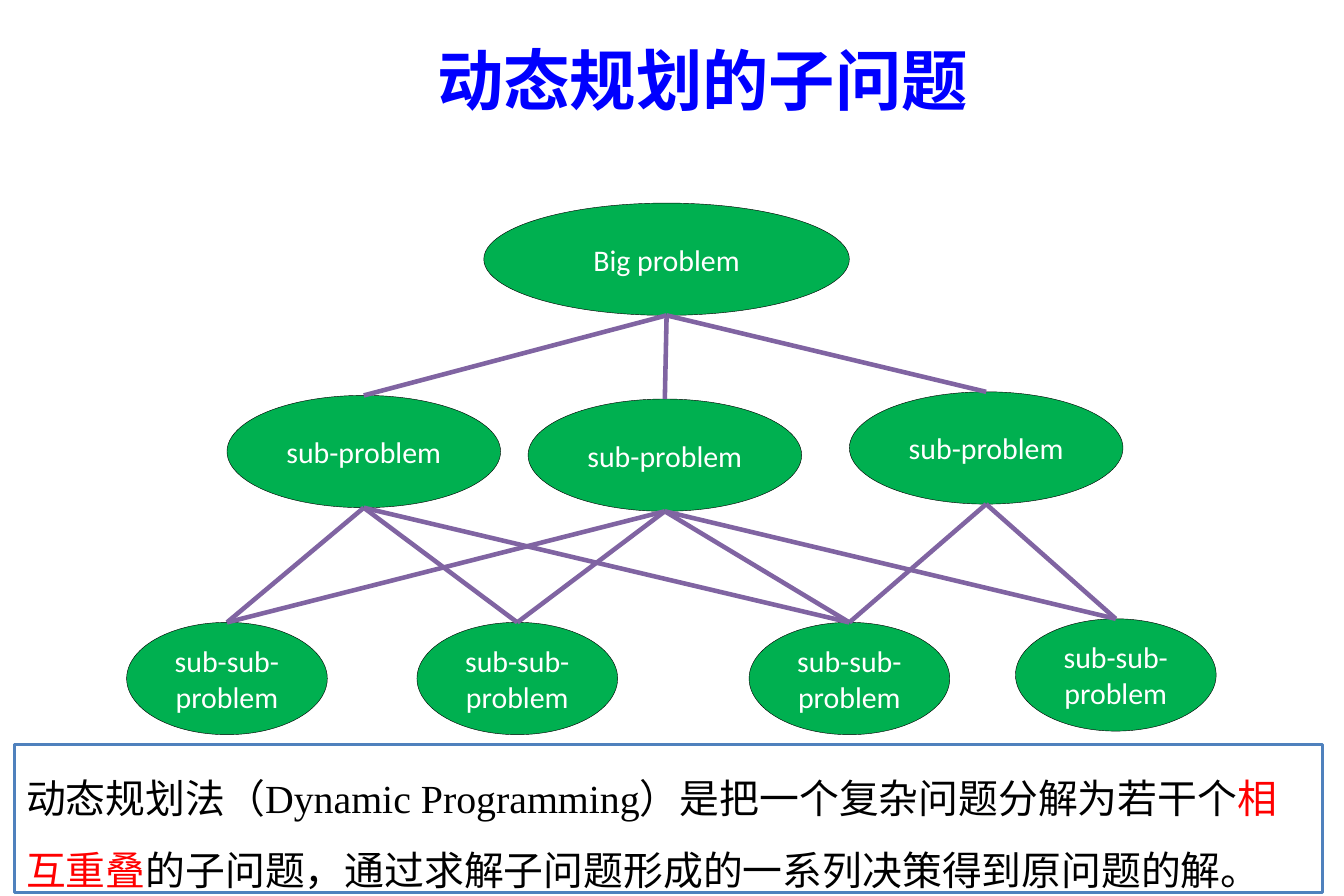
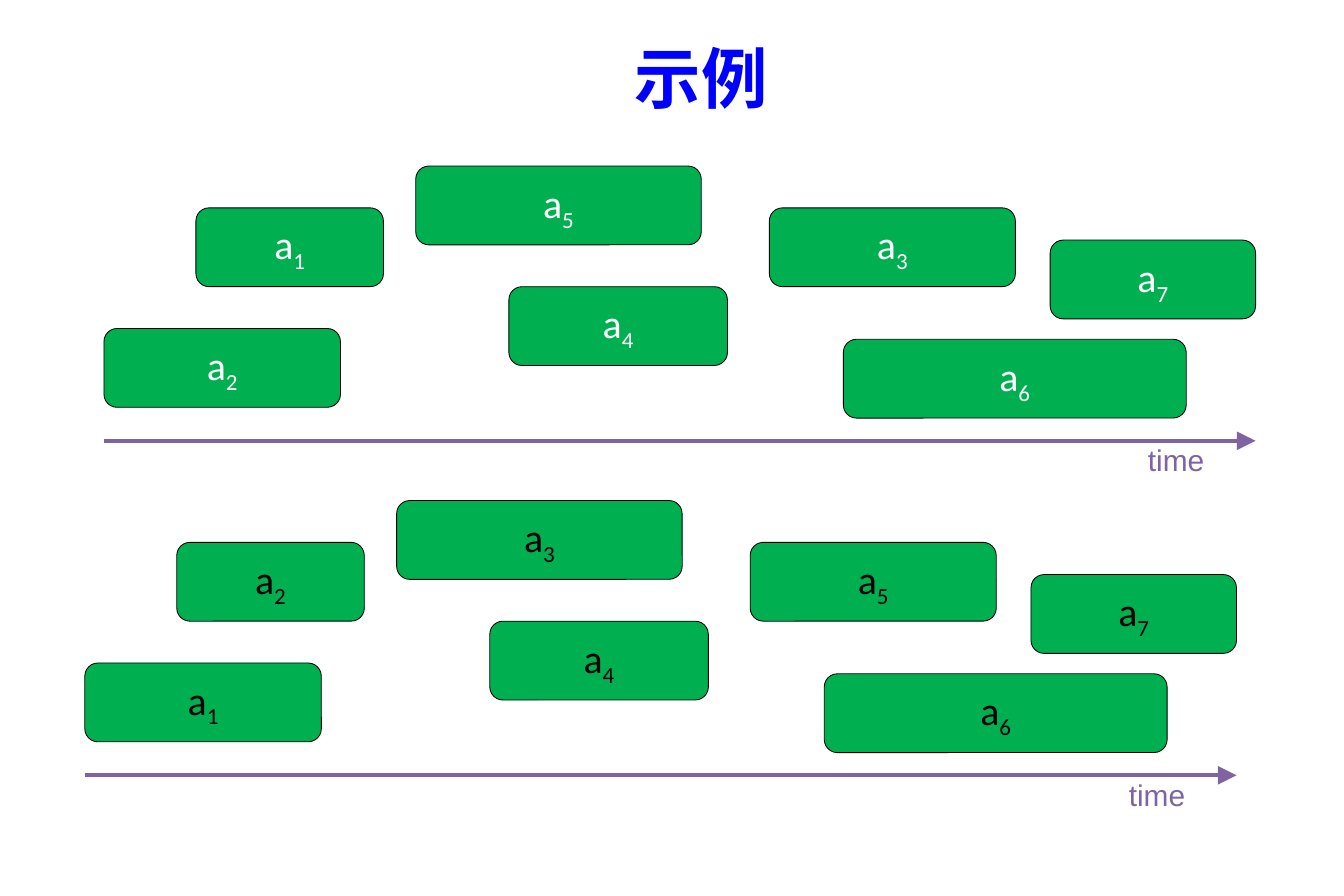
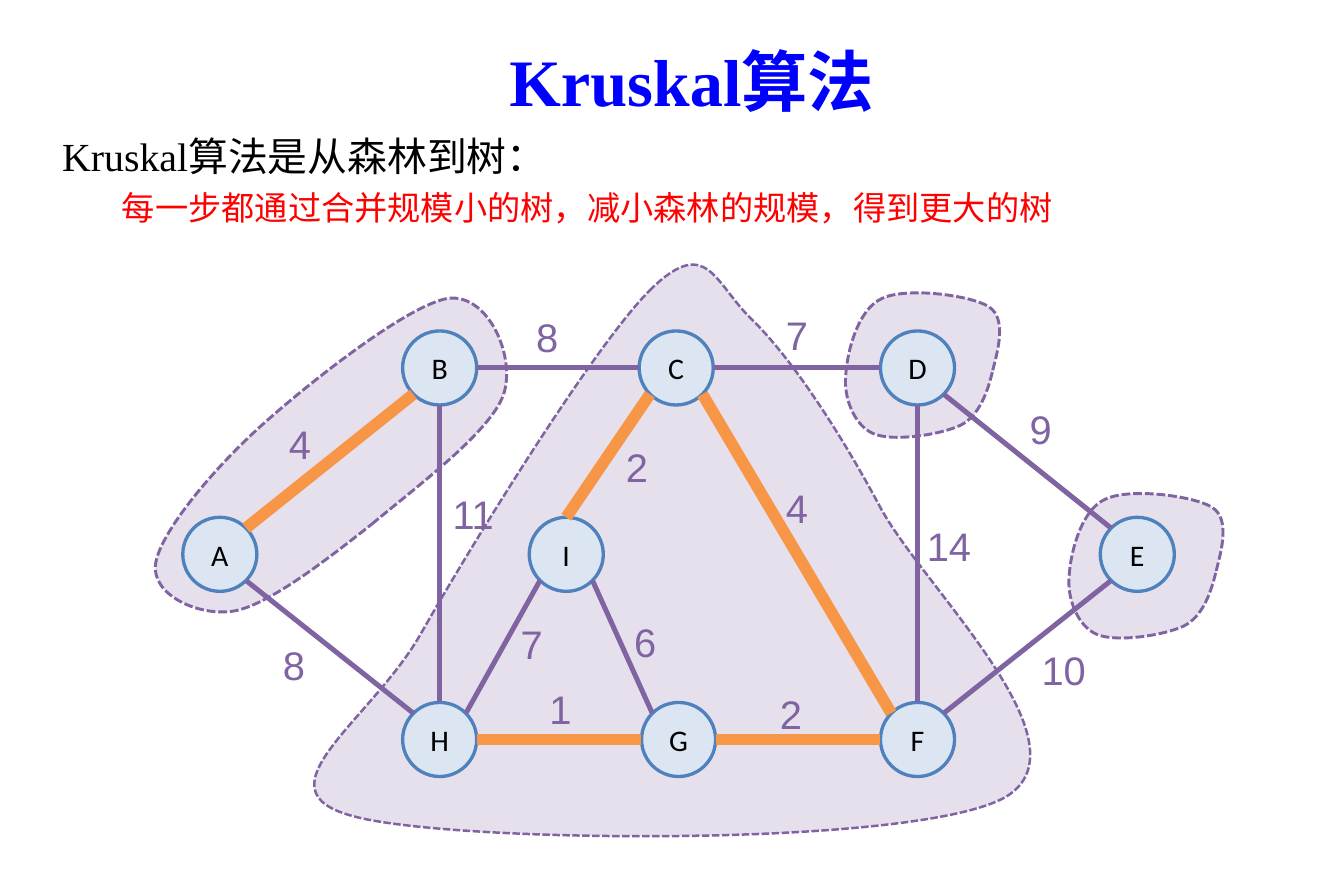
from dataclasses import dataclass
from math import cos, radians, sin
from typing import Optional

from lxml import etree
from pptx import Presentation
from pptx.dml.color import RGBColor
from pptx.enum.dml import MSO_LINE
from pptx.enum.shapes import MSO_CONNECTOR, MSO_SHAPE
from pptx.enum.text import MSO_ANCHOR, MSO_AUTO_SIZE, PP_ALIGN
from pptx.oxml.ns import qn
from pptx.util import Inches, Pt

ELLIPSE = MSO_SHAPE.OVAL
ROUNDED = MSO_SHAPE.ROUNDED_RECTANGLE
RECTANGLE = MSO_SHAPE.RECTANGLE
STRAIGHT = MSO_CONNECTOR.STRAIGHT
DASHED = MSO_LINE.SQUARE_DOT
TOP, MIDDLE = MSO_ANCHOR.TOP, MSO_ANCHOR.MIDDLE
LEFT, CENTER = PP_ALIGN.LEFT, PP_ALIGN.CENTER
NO_RESIZE = MSO_AUTO_SIZE.NONE

BLUE, RED, BLACK, WHITE = "0000FF", "FF0000", "000000", "FFFFFF"
GREEN, PURPLE, LILAC = "00B050", "8064A2", "E6E0EC"
ORANGE, STEEL, PALE = "F79646", "4F81BD", "DCE6F2"
CHINESE, SERIF, SANS, LABEL = "Noto Sans CJK SC", "Times New Roman", "Arial", "Calibri"
EAST_ASIAN = {SERIF: SANS}

CONTENT_LAYOUT, TITLE_LAYOUT = 1, 5
CURVE_STEPS = 12
DIAMETER = 0.62
SIDES = {
    "N": (0, -1), "S": (0, 1), "E": (1, 0), "W": (-1, 0),
    "NE": (0.71, -0.71), "NW": (-0.71, -0.71),
    "SE": (0.71, 0.71), "SW": (-0.71, 0.71),
}

Point = tuple[float, float]


@dataclass(frozen=True)
class Problem:
    text: str
    left: float
    top: float
    width: float
    children: tuple[int, ...] = ()
    height: float = 0.94

    def middle(self) -> float:
        return self.left + self.width / 2


@dataclass(frozen=True)
class Activity:
    left: float
    top: float
    width: float
    upper_index: str
    lower_index: str


@dataclass(frozen=True)
class Edge:
    start: str
    start_side: str
    end: str
    end_side: str
    weight: str
    label: Point
    in_forest: bool = False


@dataclass(frozen=True)
class Region:
    points: tuple[Point, ...]
    weight: float = 1.75
    shift: Point = (0, 0)
    turn: float = 0
    pivot: Point = (0, 0)

    def unturned(self) -> list[Point]:
        cosine, sine = cos(radians(self.turn)), sin(radians(self.turn))
        (right, down), (middle, centre) = self.shift, self.pivot
        offsets = [(x - middle, y - centre) for x, y in self.points]
        return [(middle + right + x * cosine + y * sine,
                 centre + down + y * cosine - x * sine) for x, y in offsets]


PROBLEMS = (
    Problem("Big problem", 4.05, 1.7, 3.06, (1, 2, 3)),
    Problem("sub-problem", 1.9, 3.31, 2.29, (4, 5, 6)),
    Problem("sub-problem", 4.42, 3.34, 2.29, (4, 5, 6, 7)),
    Problem("sub-problem", 7.11, 3.28, 2.29, (6, 7)),
    Problem("sub-sub-problem", 1.06, 5.21, 1.68),
    Problem("sub-sub-problem", 3.49, 5.21, 1.68),
    Problem("sub-sub-problem", 6.27, 5.21, 1.68),
    Problem("sub-sub-problem", 8.5, 5.18, 1.68),
)

ACTIVITIES = (
    Activity(6.44, 1.74, 2.06, "3", "5"),
    Activity(1.64, 1.74, 1.57, "1", "2"),
    Activity(4.26, 2.4, 1.83, "4", "4"),
    Activity(0.87, 2.75, 1.98, "2", "1"),
    Activity(3.48, 1.39, 2.39, "5", "3"),
    Activity(8.79, 2.01, 1.72, "7", "7"),
    Activity(7.06, 2.84, 2.87, "6", "6"),
)

NODES: dict[str, Point] = {
    "A": (1.84, 4.64), "B": (3.68, 3.08), "C": (5.66, 3.08),
    "D": (7.68, 3.08), "E": (9.52, 4.64), "F": (7.68, 6.19),
    "G": (5.68, 6.19), "H": (3.68, 6.19), "I": (4.74, 4.64),
}

EDGES = (
    Edge("A", "NE", "B", "SW", "4", (2.32, 3.46), True),
    Edge("A", "SE", "H", "NW", "8", (2.27, 5.31)),
    Edge("B", "E", "C", "W", "8", (4.39, 2.57)),
    Edge("B", "S", "H", "N", "11", (3.69, 4.05)),
    Edge("C", "E", "D", "W", "7", (6.48, 2.55)),
    Edge("C", "SW", "I", "N", "2", (5.14, 3.66), True),
    Edge("C", "SE", "F", "NW", "4", (6.48, 4), True),
    Edge("D", "SE", "E", "NW", "9", (8.52, 3.34)),
    Edge("D", "S", "F", "N", "14", (7.66, 4.32)),
    Edge("E", "SW", "F", "NE", "10", (8.62, 5.36)),
    Edge("F", "W", "G", "E", "2", (6.43, 5.72), True),
    Edge("G", "W", "H", "E", "1", (4.5, 5.68), True),
    Edge("I", "SW", "H", "NE", "7", (4.26, 5.14)),
    Edge("I", "SE", "G", "NW", "6", (5.21, 5.12)),
)

LARGE_TREE = (
    (5.46, 2.41), (5, 2.85), (3.94, 4.57), (3.52, 5.31),
    (3.1, 6.04), (2.13, 6.61), (2.95, 6.83), (3.76, 7.06), (7.68, 7.1), (8.42, 6.67),
    (9.15, 6.23), (7.71, 4.9), (7.36, 4.23), (7, 3.56), (6.6, 2.97), (6.29, 2.67),
    (5.98, 2.37), (5.92, 1.97), (5.46, 2.41),
)
SINGLE_NODE = (
    (8.31, 3.1), (8.35, 2.94), (8.43, 2.67), (8.28, 2.57),
    (8.13, 2.47), (7.58, 2.4), (7.38, 2.5), (7.18, 2.59), (7.09, 2.95), (7.08, 3.14),
    (7.06, 3.33), (7.15, 3.56), (7.31, 3.63), (7.47, 3.7), (7.87, 3.64), (8.04, 3.56),
    (8.2, 3.48), (8.27, 3.27), (8.31, 3.1),
)
NODE_PAIR = (
    (3.12, 4.39), (3.49, 4.08), (4.11, 3.62), (4.22, 3.31),
    (4.33, 3), (4.1, 2.46), (3.76, 2.5), (3.43, 2.55), (2.6, 3.2), (2.19, 3.57),
    (1.78, 3.94), (1.35, 4.46), (1.31, 4.72), (1.27, 4.98), (1.66, 5.16), (1.95, 5.12),
    (2.24, 5.08), (2.74, 4.69), (3.12, 4.39),
)
REGIONS = (
    Region(LARGE_TREE, 1.5),
    Region(SINGLE_NODE, shift=(1.87, 1.68)),
    Region(SINGLE_NODE),
    Region(NODE_PAIR, turn=46.6, pivot=(2.8, 3.88)),
)


def rgb(color: str) -> RGBColor:
    return RGBColor.from_string(color)


def add_span(para, text: str, *, size: float, font: str, color: str,
             bold: bool = False, subscript: bool = False) -> None:
    span = para.add_run()
    span.text = text
    span.font.size = Pt(size)
    span.font.bold = bold
    span.font.color.rgb = rgb(color)
    span.font.name = font
    properties = span._r.get_or_add_rPr()
    east_asian = etree.SubElement(properties, qn("a:ea"))
    east_asian.set("typeface", EAST_ASIAN.get(font, font))
    if subscript:
        properties.set("baseline", "-25000")


def prepare_frame(box, anchor=TOP, align=LEFT):
    frame = box.text_frame
    frame.word_wrap = True
    frame.auto_size = NO_RESIZE
    frame.vertical_anchor = anchor
    para = frame.paragraphs[0]
    para.alignment = align
    return para


def place(box, left: float, top: float, width: float, height: float) -> None:
    box.left, box.top = Inches(left), Inches(top)
    box.width, box.height = Inches(width), Inches(height)


def paint(shape, fill: str, line: str, weight: float) -> None:
    shape.shadow.inherit = False
    shape.fill.solid()
    shape.fill.fore_color.rgb = rgb(fill)
    shape.line.color.rgb = rgb(line)
    shape.line.width = Pt(weight)


def add_block(page, kind, left: float, top: float, width: float, height: float, *,
              fill: str, line: str, weight: float, anchor=MIDDLE, align=CENTER):
    shape = page.shapes.add_shape(
        kind, Inches(left), Inches(top), Inches(width), Inches(height))
    paint(shape, fill, line, weight)
    return prepare_frame(shape, anchor, align)


def add_line(page, start: Point, end: Point, color: str, weight: float,
             arrow: bool = False) -> None:
    line = page.shapes.add_connector(
        STRAIGHT, Inches(start[0]), Inches(start[1]), Inches(end[0]), Inches(end[1]))
    line.line.color.rgb = rgb(color)
    line.line.width = Pt(weight)
    if arrow:
        etree.SubElement(line.get_or_add_ln(), qn("a:tailEnd"),
                         {"type": "triangle", "w": "lg", "len": "lg"})
    etree.SubElement(line._element.spPr, qn("a:effectLst"))


def add_label(page, text: str, left: float, top: float, width: float, height: float,
              size: float) -> None:
    box = page.shapes.add_textbox(
        Inches(left), Inches(top), Inches(width), Inches(height))
    add_span(prepare_frame(box), text, size=size, font=SANS, color=PURPLE)


def add_page(deck, title: str, left: float, top: float, width: float = 10.12,
             height: float = 1.25, *, font: str = CHINESE, anchor=TOP,
             layout: int = TITLE_LAYOUT):
    page = deck.slides.add_slide(deck.slide_layouts[layout])
    box = page.shapes.title
    place(box, left, top, width, height)
    para = prepare_frame(box, anchor, CENTER)
    add_span(para, title, size=40, font=font, color=BLUE, bold=True)
    return page


def add_subproblem_page(deck) -> None:
    page = add_page(deck, "动态规划的子问题", 0.82, 0.28)
    for problem in PROBLEMS:
        para = add_block(page, ELLIPSE, problem.left, problem.top, problem.width,
                         problem.height, fill=GREEN, line=BLACK, weight=0.25)
        add_span(para, problem.text, size=18, font=LABEL, color=WHITE)
    for problem in PROBLEMS:
        bottom = (problem.middle(), problem.top + problem.height)
        for child in (PROBLEMS[index] for index in problem.children):
            add_line(page, bottom, (child.middle(), child.top), PURPLE, 2.75)
    para = add_block(page, RECTANGLE, 0.12, 6.23, 10.95, 1.24, fill=WHITE,
                     line=STEEL, weight=2, anchor=TOP, align=LEFT)
    para.line_spacing = 1.5
    for text, color in (
        ("动态规划法（Dynamic Programming）是把一个复杂问题分解为若干个", BLACK),
        ("相互重叠", RED),
        ("的子问题，通过求解子问题形成的一系列决策得到原问题的解。", BLACK),
    ):
        add_span(para, text, size=24, font=SERIF, color=color)


def add_timeline(page, indices: list[str], color: str, right: float, down: float) -> None:
    for activity, index in zip(ACTIVITIES, indices):
        para = add_block(page, ROUNDED, activity.left + right, activity.top + down,
                         activity.width, 0.66, fill=GREEN, line=BLACK, weight=0.5)
        add_span(para, "a", size=24, font=LABEL, color=color)
        add_span(para, index, size=24, font=LABEL, color=color, subscript=True)
    axis = 3.69 + down
    add_line(page, (0.87 + right, axis), (10.51 + right, axis), PURPLE, 2.25, arrow=True)
    add_label(page, "time", 9.51 + right, axis - 0.04, 1.11, 0.4, 18)


def add_example_page(deck) -> None:
    page = add_page(deck, "示例", 0.81, 0.26)
    add_timeline(page, [item.upper_index for item in ACTIVITIES], WHITE, 0, 0)
    add_timeline(page, [item.lower_index for item in ACTIVITIES], BLACK, -0.16, 2.8)


def curve_samples(points: list[Point]) -> list[Point]:
    samples = []
    for first in range(0, len(points) - 1, 3):
        corners = points[first:first + 4]
        for step in range(CURVE_STEPS):
            t = step / CURVE_STEPS
            shares = ((1 - t) ** 3, 3 * t * (1 - t) ** 2, 3 * t ** 2 * (1 - t), t ** 3)
            samples.append((sum(s * x for s, (x, _) in zip(shares, corners)),
                            sum(s * y for s, (_, y) in zip(shares, corners))))
    return samples


def add_region(page, region: Region) -> None:
    points = region.unturned()
    outline = [(Inches(x), Inches(y)) for x, y in curve_samples(points)]
    builder = page.shapes.build_freeform(*outline[0])
    builder.add_line_segments(outline[1:], close=True)
    shape = builder.convert_to_shape()
    curve = next(shape._element.iter(qn("a:path")))
    for segment in curve.findall(qn("a:lnTo")):
        curve.remove(segment)
    closing = curve.find(qn("a:close"))
    for first in range(1, len(points), 3):
        bend = etree.Element(qn("a:cubicBezTo"))
        for x, y in points[first:first + 3]:
            etree.SubElement(bend, qn("a:pt"), {"x": str(Inches(x) - shape.left),
                                                "y": str(Inches(y) - shape.top)})
        closing.addprevious(bend)
    shape.rotation = region.turn
    paint(shape, LILAC, PURPLE, region.weight)
    shape.line.dash_style = DASHED


def node_side(name: str, side: str) -> Point:
    (x, y), (across, down) = NODES[name], SIDES[side]
    return x + across * DIAMETER / 2, y + down * DIAMETER / 2


def format_list_line(para, text: str, size: float, color: str,
                     indent: Optional[float] = None) -> None:
    properties = para._p.get_or_add_pPr()
    properties.set("marL", str(Inches(indent or 0)))
    properties.set("indent", "0")
    etree.SubElement(properties, qn("a:buNone"))
    para.level = 1 if indent else 0
    para.line_spacing = 1.2
    para.space_before = Pt(0)
    add_span(para, text, size=size, font=SERIF, color=color)


def add_kruskal_page(deck) -> None:
    page = add_page(deck, "Kruskal算法", 3.91, -0.03, 3.76, 1.39, font=SERIF,
                    anchor=MIDDLE, layout=CONTENT_LAYOUT)
    body = page.placeholders[1]
    place(body, 0.42, 0.97, 9, 0.95)
    format_list_line(prepare_frame(body), "Kruskal算法是从森林到树：", 24, BLACK)
    format_list_line(body.text_frame.add_paragraph(),
                     "每一步都通过合并规模小的树，减小森林的规模，得到更大的树",
                     20, RED, indent=0.5)
    for region in REGIONS:
        add_region(page, region)
    for name, (x, y) in NODES.items():
        para = add_block(page, ELLIPSE, x - DIAMETER / 2, y - DIAMETER / 2,
                         DIAMETER, DIAMETER, fill=PALE, line=STEEL, weight=2)
        add_span(para, name, size=18, font=LABEL, color=BLACK)
    for edge in EDGES:
        color, weight = (ORANGE, 7) if edge.in_forest else (PURPLE, 3)
        add_line(page, node_side(edge.start, edge.start_side),
                 node_side(edge.end, edge.end_side), color, weight)
        add_label(page, edge.weight, *edge.label, 0.86, 0.5, 24)


def main() -> None:
    deck = Presentation()
    deck.slide_width, deck.slide_height = Inches(11.25), Inches(7.5)
    add_subproblem_page(deck)
    add_example_page(deck)
    add_kruskal_page(deck)
    deck.save("out.pptx")


if __name__ == "__main__":
    main()
